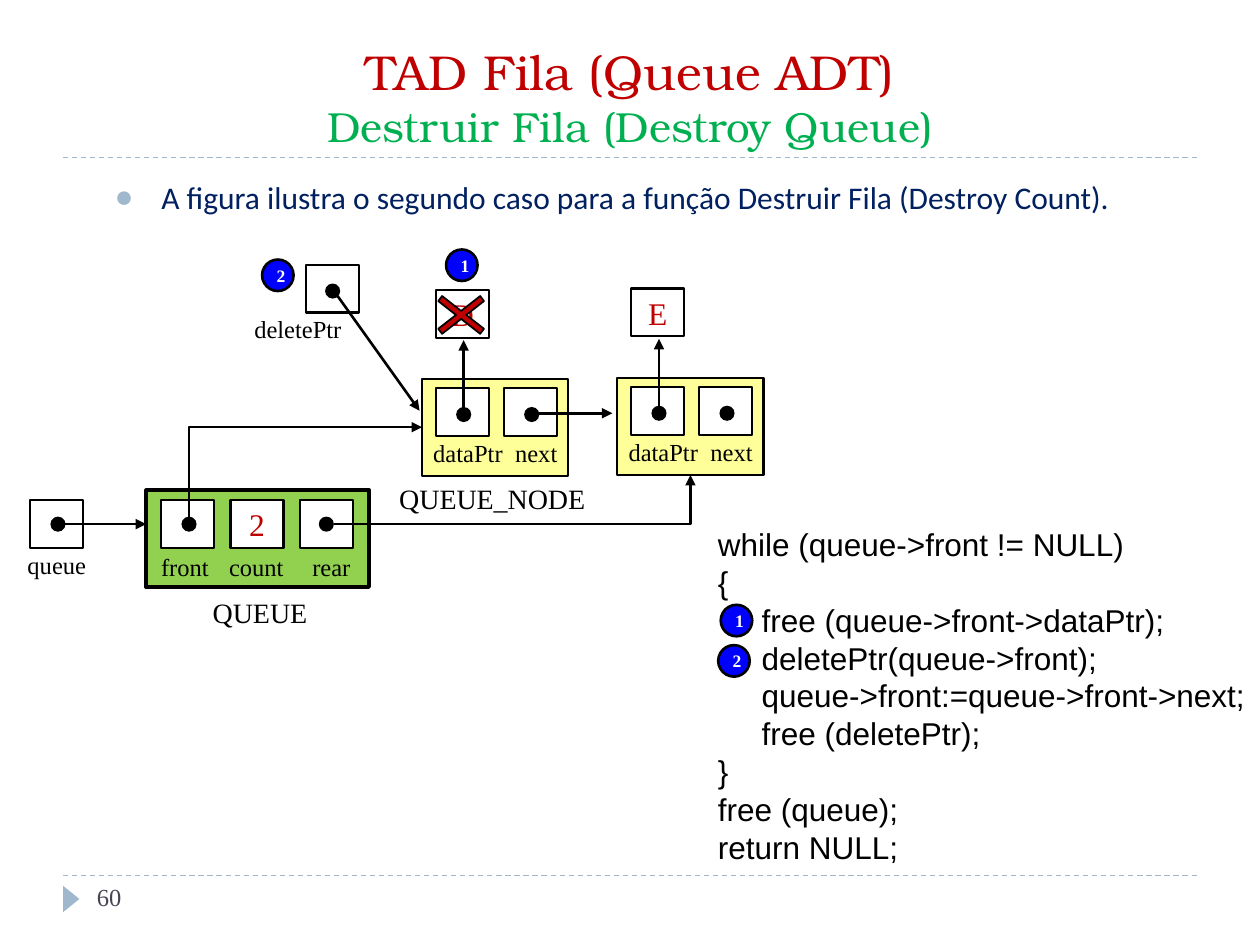
from dataclasses import dataclass

from lxml import etree
from pptx import Presentation
from pptx import util as u
from pptx.dml.color import RGBColor
from pptx.enum import dml, shapes, text
from pptx.oxml.ns import qn


@dataclass(frozen=True)
class Theme:
    black: str = "000000"
    white: str = "FFFFFF"
    red: str = "C00000"
    green: str = "00B050"
    navy: str = "002060"
    accent: str = "9FB8CD"
    footer: str = "464653"
    queue_fill: str = "92D050"
    node_fill: str = "FFFF99"
    badge_fill: str = "0000FF"
    serif: str = "Times New Roman"
    display: str = "TeX Gyre Bonum"
    body: str = "Calibri"
    code: str = "Arial"
    title_size: int = 28
    subtitle_size: int = 24
    large_size: int = 18
    caption_size: int = 16
    label_size: int = 14
    badge_size: int = 10


@dataclass(frozen=True)
class Box:
    left: float
    top: float
    width: float
    height: float

    def inside(self, x, y, width, height):
        """Box of the given size at an offset from this box's corner."""
        return Box(self.left + x, self.top + y, width, height)

    def point(self, x, y):
        return self.left + x, self.top + y

    def lengths(self):
        return [u.Inches(value) for value in (self.left, self.top, self.width, self.height)]


THEME = Theme()
CELL = (0.42, 0.38)
DOT = 0.12


def color(value):
    return RGBColor.from_string(value)


def add_run(paragraph, words, size, name, ink, bold=False):
    run = paragraph.add_run()
    run.text = words
    run.font.size = u.Pt(size)
    run.font.name = name
    run.font.bold = bold
    run.font.color.rgb = color(ink)


def add_label(slide, box, lines, size=THEME.label_size, name=THEME.serif, ink=THEME.black):
    frame = slide.shapes.add_textbox(*box.lengths()).text_frame
    frame.word_wrap = False
    for index, line in enumerate(lines):
        paragraph = frame.add_paragraph() if index else frame.paragraphs[0]
        add_run(paragraph, line, size, name, ink)


def add_figure(slide, kind, box, fill, width=1.25, outline=THEME.black):
    shape = slide.shapes.add_shape(kind, *box.lengths())
    shape.shadow.inherit = False
    shape.fill.solid()
    shape.fill.fore_color.rgb = color(fill)
    if width:
        shape.line.color.rgb = color(outline)
        shape.line.width = u.Pt(width)
    else:
        shape.line.fill.background()
    return shape


def add_cell(slide, box, value=None):
    shape = add_figure(slide, shapes.MSO_SHAPE.RECTANGLE, box, THEME.white)
    if value:
        paragraph = shape.text_frame.paragraphs[0]
        paragraph.alignment = text.PP_ALIGN.CENTER
        add_run(paragraph, value, THEME.large_size, THEME.serif, THEME.red)


def add_dot(slide, center):
    x, y = center
    box = Box(x - DOT / 2, y - DOT / 2, DOT, DOT)
    add_figure(slide, shapes.MSO_SHAPE.OVAL, box, THEME.black, 0)


def add_badge(slide, left, top, number):
    shape = add_figure(slide, shapes.MSO_SHAPE.OVAL, Box(left, top, 0.25, 0.25),
                       THEME.badge_fill, 1.5)
    paragraph = shape.text_frame.paragraphs[0]
    paragraph.alignment = text.PP_ALIGN.CENTER
    add_run(paragraph, number, THEME.badge_size, THEME.serif, THEME.white, True)


def add_line(slide, start, end, ink=THEME.black, width=1.5, arrow="tailEnd", bent=False):
    """Line with an optional arrowhead; a bent one runs sideways first."""
    kind = shapes.MSO_CONNECTOR.ELBOW if bent else shapes.MSO_CONNECTOR.STRAIGHT
    line = slide.shapes.add_connector(kind, *[u.Inches(value) for value in (*start, *end)])
    line.line.color.rgb = color(ink)
    line.line.width = u.Pt(width)
    properties = line._element.spPr
    if bent:
        properties.find(qn("a:prstGeom")).set("prst", "bentConnector2")
    if arrow:
        etree.SubElement(properties.find(qn("a:ln")), qn("a:" + arrow), type="triangle")
    etree.SubElement(properties, qn("a:effectLst"))
    return line


def add_heading(slide, box):
    title = slide.shapes.title
    title.left, title.top, title.width, title.height = box.lengths()
    frame = title.text_frame
    frame.auto_size = text.MSO_AUTO_SIZE.NONE
    frame.vertical_anchor = text.MSO_ANCHOR.BOTTOM
    paragraph = frame.paragraphs[0]
    paragraph.alignment = text.PP_ALIGN.CENTER
    add_run(paragraph, "TAD Fila (Queue ADT)", THEME.title_size, THEME.display, THEME.red)
    paragraph.add_line_break()
    add_run(paragraph, "Destruir Fila (Destroy Queue)", THEME.subtitle_size,
            THEME.display, THEME.green)


def add_statement(slide, box):
    body = slide.placeholders[1]
    body.left, body.top, body.width, body.height = box.lengths()
    body.text_frame.auto_size = text.MSO_AUTO_SIZE.NONE
    paragraph = body.text_frame.paragraphs[0]
    paragraph.alignment = text.PP_ALIGN.JUSTIFY
    paragraph.space_before = u.Pt(0)
    properties = paragraph._p.get_or_add_pPr()
    properties.set("marL", str(u.Inches(0.37)))
    properties.set("indent", str(u.Inches(-0.37)))
    bullet_color = etree.SubElement(properties, qn("a:buClr"))
    etree.SubElement(bullet_color, qn("a:srgbClr"), val=THEME.accent)
    etree.SubElement(properties, qn("a:buChar"), char="●")
    add_run(paragraph,
            "A figura ilustra o segundo caso para a função Destruir Fila (Destroy Count).",
            THEME.large_size, THEME.body, THEME.navy)


def add_frame(slide, box):
    """Dashed rules, page marker and page number."""
    for y in (0, box.height):
        rule = add_line(slide, box.point(0, y), box.point(box.width, y), THEME.accent, 0.75, None)
        rule.line.dash_style = dml.MSO_LINE.DASH
    marker = add_figure(slide, shapes.MSO_SHAPE.ISOSCELES_TRIANGLE,
                        box.inside(-0.04, 5.82, 0.21, 0.13), THEME.accent, 0)
    marker.rotation = 90
    add_label(slide, box.inside(0.17, 5.7, 2.17, 0.4), ["60"], ink=THEME.footer)


def add_queue(slide, box):
    add_figure(slide, shapes.MSO_SHAPE.RECTANGLE, box, THEME.queue_fill, 2)
    add_label(slide, box.inside(0.43, 0.79, 0.96, 0.37), ["QUEUE"], THEME.caption_size)
    for index, value in enumerate((None, "2", None)):
        add_cell(slide, box.inside(0.12 + 0.55 * index, 0.08, *CELL), value)
    for x, width, name in ((0.02, 0.58, "front"), (0.56, 0.64, "count"), (1.22, 0.51, "rear")):
        add_label(slide, box.inside(x, 0.44, width, 0.34), [name])
    add_cell(slide, box.inside(-0.92, 0.08, *CELL))
    add_label(slide, box.inside(-1.04, 0.43, 0.67, 0.34), ["queue"])
    add_line(slide, box.point(-0.71, 0.27), box.point(0, 0.27))
    add_line(slide, box.point(2.19, -0.5), box.point(0.34, 0.21), arrow="headEnd", bent=True)
    add_line(slide, box.point(1.49, 0.27), box.point(4.32, -0.12), bent=True)
    for x in (-0.7, 0.34, 1.43):
        add_dot(slide, box.point(x, 0.27))


def add_node(slide, box, value):
    add_figure(slide, shapes.MSO_SHAPE.RECTANGLE, box, THEME.node_fill)
    for x, label_x, width, name in ((0.11, -0.01, 0.76, "dataPtr"), (0.65, 0.64, 0.54, "next")):
        add_cell(slide, box.inside(x, 0.07, *CELL))
        add_label(slide, box.inside(label_x, 0.42, width, 0.34), [name])
        add_dot(slide, box.point(x + 0.22, 0.28))
    add_cell(slide, box.inside(0.11, -0.71, *CELL), value)
    add_line(slide, box.point(0.33, 0.26), box.point(0.33, -0.31))


def add_delete_pointer(slide, box):
    add_cell(slide, box)
    add_label(slide, box.inside(-0.51, 0.34, 0.9, 0.34), ["deletePtr"])
    add_dot(slide, box.point(0.21, 0.21))
    add_line(slide, box.point(0.25, 0.25), box.point(0.9, 1.16))


def add_code(slide, box):
    add_label(slide, box, [
        "while (queue->front != NULL)",
        "{",
        "     free (queue->front->dataPtr);",
        "     deletePtr(queue->front);",
        "     queue->front:=queue->front->next;",
        "     free (deletePtr);",
        "}",
        "free (queue);",
        "return NULL;",
    ], THEME.large_size, THEME.code)


def main():
    presentation = Presentation()
    presentation.slide_width, presentation.slide_height = u.Inches(10), u.Inches(7.5)
    slide = presentation.slides.add_slide(presentation.slide_layouts[1])
    add_frame(slide, Box(0.5, 1.25, 9, 5.7))
    add_heading(slide, Box(0.5, 0.25, 9, 1))
    add_statement(slide, Box(0.81, 1.36, 8.5, 0.49))
    add_queue(slide, Box(1.16, 3.89, 1.77, 0.77))
    add_label(slide, Box(3.07, 3.77, 1.69, 0.37), ["QUEUE_NODE"], THEME.caption_size)
    add_node(slide, Box(3.35, 3.01, 1.16, 0.77), "D")
    add_node(slide, Box(4.9, 3, 1.16, 0.77), "E")
    add_line(slide, (4.24, 3.28), (4.86, 3.28))
    add_code(slide, Box(5.6, 4.12, 4.4, 2.83))
    cross = add_figure(slide, shapes.MSO_SHAPE.MATH_MULTIPLY, Box(3.34, 2.25, 0.64, 0.5),
                       THEME.red, 1)
    cross.adjustments[0] = 0.1
    add_delete_pointer(slide, Box(2.43, 2.1, *CELL))
    for left, top, number in ((5.72, 4.8, "1"), (3.54, 1.98, "1"),
                              (5.7, 5.12, "2"), (2.08, 2.06, "2")):
        add_badge(slide, left, top, number)
    presentation.save("out.pptx")


if __name__ == "__main__":
    main()
